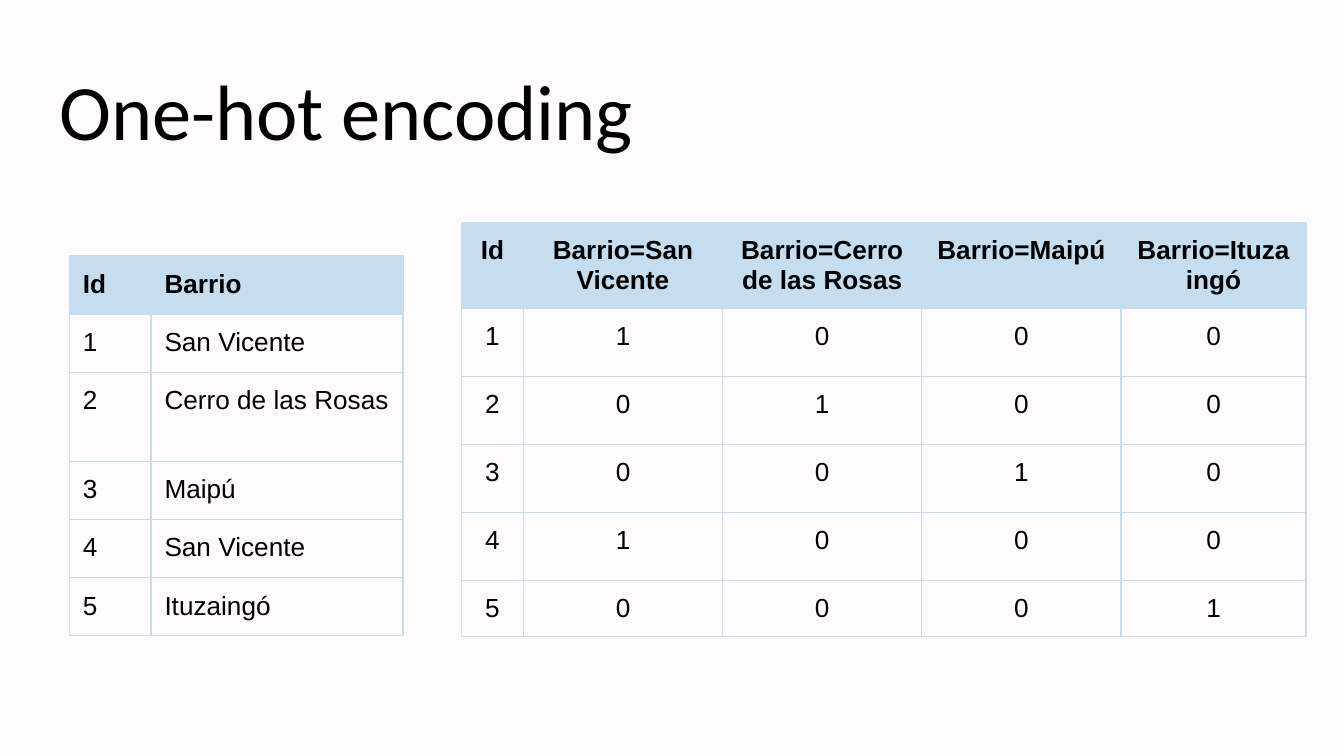
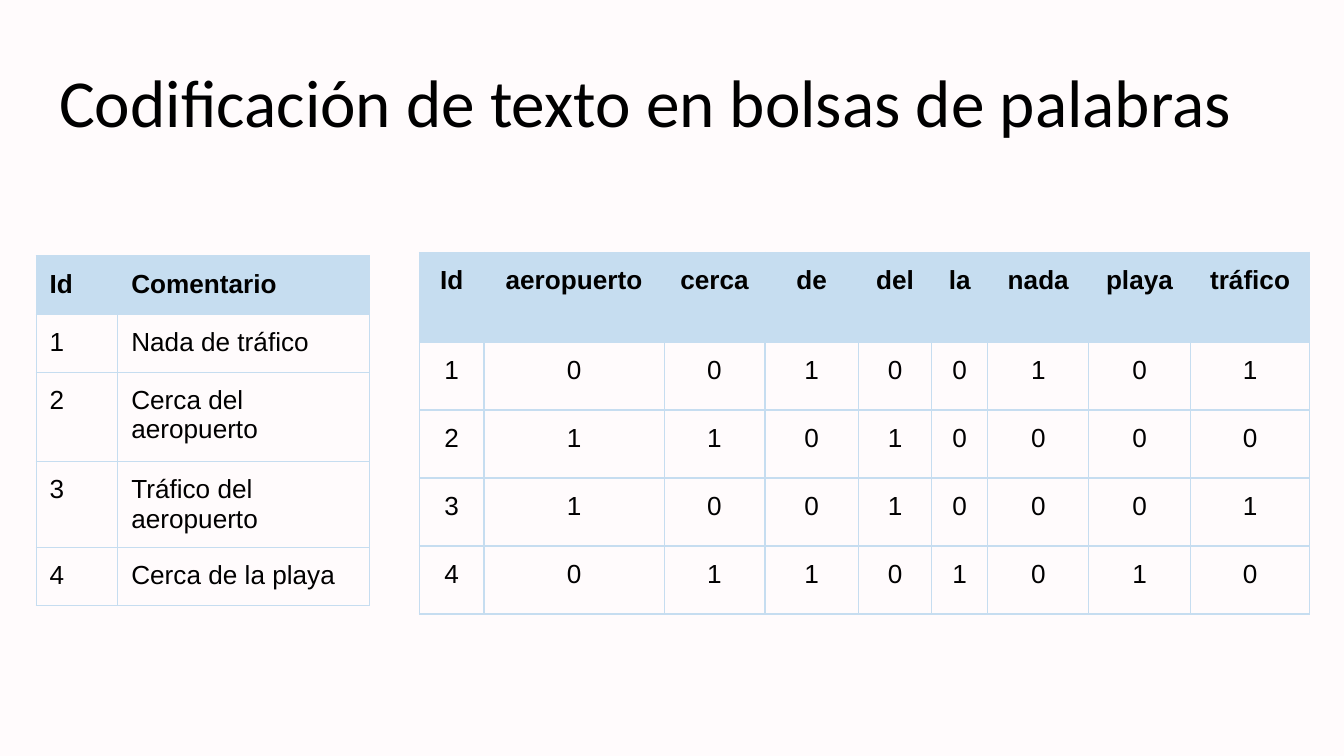
from lxml.etree import SubElement
from pptx import Presentation
from pptx.dml.color import RGBColor
from pptx.enum.text import MSO_ANCHOR, MSO_AUTO_SIZE, PP_ALIGN
from pptx.oxml.ns import qn
from pptx.util import Pt

COLORS = {"background": "FFFBFC", "table": "C6DDF0", "text": "000000"}
MARGIN = Pt(7.2)
MARGINS = {f"margin_{side}": MARGIN for side in ("left", "top", "right", "bottom")}
TITLE_BOX = {"left": Pt(24.5), "top": Pt(25.2), "width": Pt(671), "height": Pt(65.5)}
TITLE_FRAME = {**MARGINS, "word_wrap": True, "auto_size": MSO_AUTO_SIZE.NONE}
BORDER_WIDTH = Pt(0.75)
SOURCE_COLUMNS = [43.75, 135]
SOURCE_TOP = 137.2
ROW = 31.1
TALL_ROW = 48
CODE_ROW = 36.45

NEIGHBORHOODS = ["San Vicente", "Cerro de las Rosas", "Maipú", "San Vicente", "Ituzaingó"]
COMMENTS = ["Nada de tráfico", "Cerca del aeropuerto", "Tráfico del aeropuerto", "Cerca de la playa"]


def color(value):
    return RGBColor.from_string(value)


def set_attributes(target, values):
    for name, value in values.items():
        setattr(target, name, value)


def fill_solid(fill, value):
    fill.solid()
    fill.fore_color.rgb = color(value)


def format_font(font, name, size, bold=False):
    set_attributes(font, {"name": name, "size": Pt(size), "bold": bold})
    font.color.rgb = color(COLORS["text"])


def add_title_slide(presentation, title, size, anchor):
    slide = presentation.slides.add_slide(presentation.slide_layouts[5])
    shape = slide.shapes.title
    set_attributes(shape, TITLE_BOX)
    frame = shape.text_frame
    set_attributes(frame, {**TITLE_FRAME, "vertical_anchor": anchor})
    frame.text = title
    paragraph = frame.paragraphs[0]
    paragraph.alignment = PP_ALIGN.LEFT
    format_font(paragraph.font, "Calibri", size)
    return slide


def add_borders(cell):
    properties = cell._tc.get_or_add_tcPr()
    for side in ("lnL", "lnR", "lnT", "lnB"):
        line = SubElement(properties, qn(f"a:{side}"), w=str(BORDER_WIDTH))
        fill = SubElement(line, qn("a:solidFill"))
        SubElement(fill, qn("a:srgbClr"), val=COLORS["table"])


def format_cell(cell, text, is_header, alignment):
    set_attributes(cell, {**MARGINS, "text": text, "vertical_anchor": MSO_ANCHOR.TOP})
    add_borders(cell)
    if is_header:
        fill_solid(cell.fill, COLORS["table"])
    else:
        cell.fill.background()
    paragraph = cell.text_frame.paragraphs[0]
    paragraph.alignment = alignment
    format_font(paragraph.font, "Arial", 14, is_header)


def add_data_table(slide, left, top, widths, heights, rows, alignment=PP_ALIGN.LEFT):
    table = slide.shapes.add_table(
        len(heights), len(widths), Pt(left), Pt(top), Pt(sum(widths)), Pt(sum(heights))
    ).table
    table.horz_banding = False
    for column, width in zip(table.columns, widths):
        column.width = Pt(width)
    for row_index, (row, height, values) in enumerate(zip(table.rows, heights, rows)):
        row.height = Pt(height)
        for cell, value in zip(row.cells, values):
            format_cell(cell, value, row_index == 0, alignment)


def source_rows(heading, values):
    return [["Id", heading]] + [[str(index), value] for index, value in enumerate(values, 1)]


def encoded_rows(headings, categories, items):
    rows = [["Id", *headings]]
    for index, item in enumerate(items, 1):
        rows.append([str(index)] + [str(int(category in item)) for category in categories])
    return rows


def add_one_hot_slide(presentation):
    slide = add_title_slide(presentation, "One-hot encoding", 42, MSO_ANCHOR.BOTTOM)
    add_data_table(
        slide, 37.2, SOURCE_TOP, SOURCE_COLUMNS, [ROW, ROW, TALL_ROW, ROW, ROW, ROW],
        source_rows("Barrio", NEIGHBORHOODS),
    )
    categories = list(dict.fromkeys(NEIGHBORHOODS))
    headings = [f"Barrio={category}" for category in categories]
    add_data_table(
        slide, 247.2, 119.3, [33.2] + [106.75] * 3 + [99.1], [45.8] + [CODE_ROW] * 4 + [30.3],
        encoded_rows(headings, categories, [[name] for name in NEIGHBORHOODS]),
        PP_ALIGN.CENTER,
    )


def add_bag_of_words_slide(presentation):
    slide = add_title_slide(
        presentation, "Codificación de texto en bolsas de palabras", 36, MSO_ANCHOR.TOP
    )
    add_data_table(
        slide, 19.4, SOURCE_TOP, SOURCE_COLUMNS, [ROW, ROW, TALL_ROW, ROW, ROW],
        source_rows("Comentario", COMMENTS),
    )
    word_lists = [comment.lower().split() for comment in COMMENTS]
    vocabulary = sorted({word for words in word_lists for word in words})
    add_data_table(
        slide, 224.7, 135.2, [34.6, 96.5, 54, 50.2, 39.1, 30.2, 54, 54.5, 64],
        [TALL_ROW] + [CODE_ROW] * 4,
        encoded_rows(vocabulary, vocabulary, word_lists), PP_ALIGN.CENTER,
    )


def main():
    presentation = Presentation()
    set_attributes(presentation, {"slide_width": Pt(720), "slide_height": Pt(405)})
    fill_solid(presentation.slide_master.background.fill, COLORS["background"])
    add_one_hot_slide(presentation)
    add_bag_of_words_slide(presentation)
    presentation.save("out.pptx")


if __name__ == "__main__":
    main()
